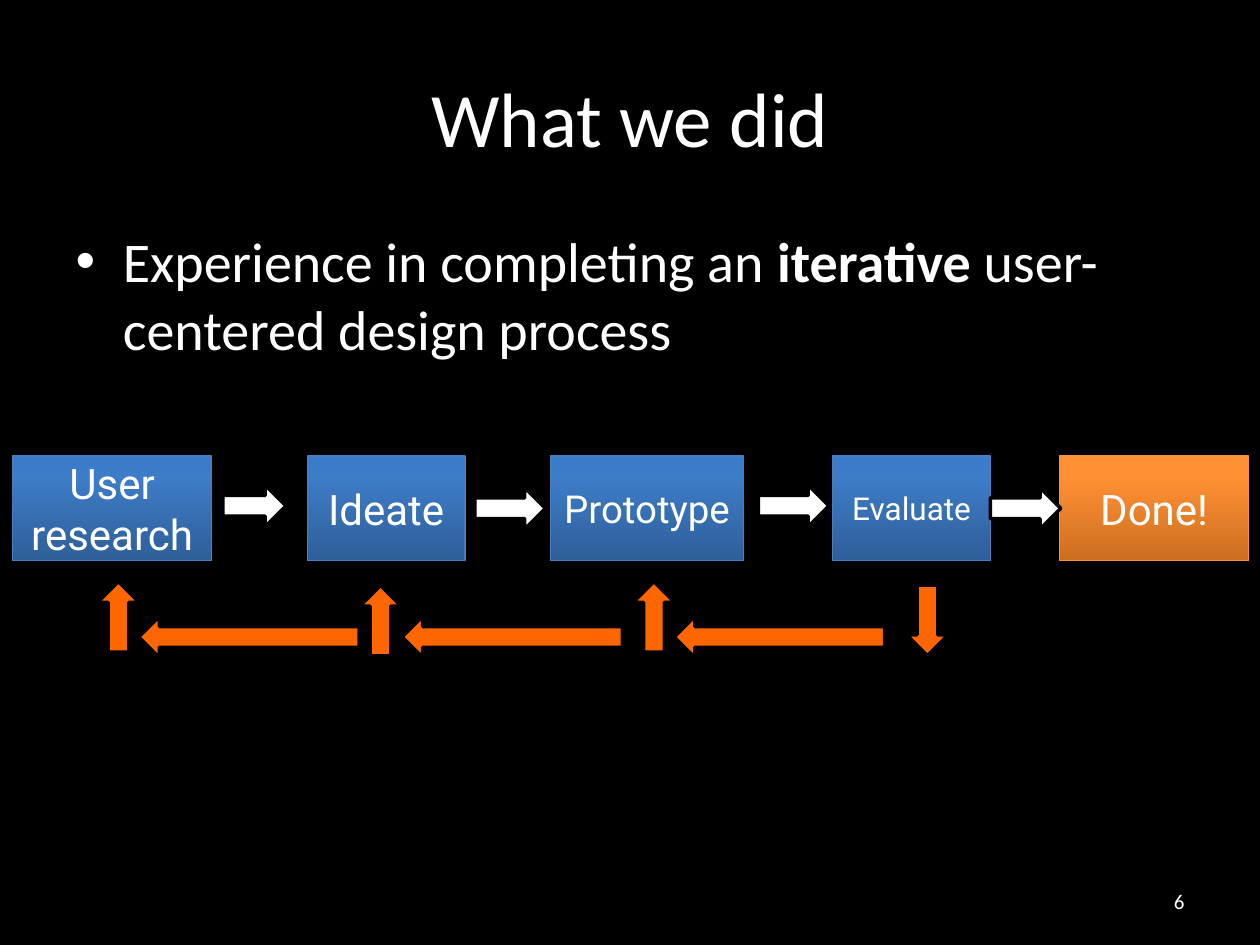
from copy import deepcopy

from pptx import Presentation
from pptx.dml.color import RGBColor
from pptx.enum.shapes import MSO_SHAPE
from pptx.enum.text import MSO_ANCHOR, PP_ALIGN
from pptx.oxml.ns import qn
from pptx.util import Inches, Pt

COLORS = {
    "background": "000000",
    "text": "FFFFFF",
    "forward": "FFFFFF",
    "back": "FF6600",
    "outline": "000000",
    "step_line": "4B7EBC",
    "done_line": "F69240",
}
# Gradient stops from the bottom edge to the top edge
GRADIENTS = {
    "step": ((0, "2F5F99"), (0.8, "3D7CC7"), (1, "3A7CCB")),
    "done": ((0, "CC6E20"), (0.8, "FF9034"), (1, "FF9136")),
}


def add_run(p, text, size, font="Calibri", bold=False):
    r = p.add_run()
    r.text = text
    r.font.size = Pt(size)
    r.font.name = font
    r.font.bold = bold
    r.font.color.rgb = RGBColor.from_string(COLORS["text"])


def add_block(kind, left, top, width, height, line, line_width):
    sp = s.shapes.add_shape(kind, Inches(left), Inches(top), Inches(width), Inches(height))
    sp.shadow.inherit = False
    sp.line.color.rgb = RGBColor.from_string(COLORS[line])
    sp.line.width = Pt(line_width)
    return sp


prs = Presentation()
prs.slide_width, prs.slide_height = Inches(10), Inches(7.5)
s = prs.slides.add_slide(prs.slide_layouts[1])
s.background.fill.solid()
s.background.fill.fore_color.rgb = RGBColor.from_string(COLORS["background"])

# Title and bullet
title, body = s.placeholders
title.left, title.top, title.width, title.height = map(Inches, (0.5, 0.3, 9, 1.25))
title.text_frame.vertical_anchor = MSO_ANCHOR.MIDDLE
p = title.text_frame.paragraphs[0]
p.alignment = PP_ALIGN.CENTER
add_run(p, "What we did", 44)

body.left, body.top, body.width, body.height = map(Inches, (0.5, 1.75, 9, 4.95))
p = body.text_frame.paragraphs[0]
add_run(p, "Experience in completing an ", 32)
add_run(p, "iterative ", 32, bold=True)
add_run(p, "user-centered design process", 32)

# Slide number
number = s.shapes.add_textbox(Inches(7.17), Inches(6.95), Inches(2.33), Inches(0.4))
tf = number.text_frame
tf.word_wrap = True
tf.vertical_anchor = MSO_ANCHOR.MIDDLE
p = tf.paragraphs[0]
p.alignment = PP_ALIGN.RIGHT
add_run(p, "6", 12)

# Process steps: text, left, width, text size, style
steps = [
    ("User research", 0.1, 1.58, 24, "step"),
    ("Ideate", 2.44, 1.25, 24, "step"),
    ("Prototype", 4.37, 1.53, 22, "step"),
    ("Evaluate", 6.61, 1.25, 18, "step"),
    ("Done!", 8.41, 1.5, 24, "done"),
]
for text, left, width, size, style in steps:
    sp = add_block(MSO_SHAPE.RECTANGLE, left, 3.62, width, 0.83, f"{style}_line", 0.75)
    sp.fill.gradient()
    sp.fill.gradient_angle = 90
    stop_list = sp._element.spPr.find(qn("a:gradFill")).find(qn("a:gsLst"))
    stop_list.append(deepcopy(stop_list[-1]))
    for stop, (position, color) in zip(sp.fill.gradient_stops, GRADIENTS[style]):
        stop.position = position
        stop.color.rgb = RGBColor.from_string(color)
    tf = sp.text_frame
    tf.word_wrap = True
    tf.vertical_anchor = MSO_ANCHOR.MIDDLE
    p = tf.paragraphs[0]
    p.alignment = PP_ALIGN.CENTER
    add_run(p, text, size, "Roboto")

# Arrows: left, top, width, rotation, color
arrows = [
    (1.77, 3.85, 0.5, 0, "forward"),
    (3.77, 3.87, 0.56, 0, "forward"),
    (6.02, 3.85, 0.56, 0, "forward"),
    (7.86, 3.87, 0.56, 0, "forward"),
    (7.08, 4.76, 0.56, 90, "back"),
    (5.35, 4.89, 1.67, 180, "back"),
    (3.19, 4.89, 1.75, 180, "back"),
    (1.1, 4.89, 1.75, 180, "back"),
    (4.91, 4.73, 0.56, 270, "back"),
    (0.66, 4.73, 0.56, 270, "back"),
    (2.74, 4.76, 0.56, 270, "back"),
]
for left, top, width, rotation, color in arrows:
    sp = add_block(MSO_SHAPE.RIGHT_ARROW, left, top, width, 0.33, "outline", 2)
    sp.rotation = rotation
    sp.fill.solid()
    sp.fill.fore_color.rgb = RGBColor.from_string(COLORS[color])

prs.save("out.pptx")
